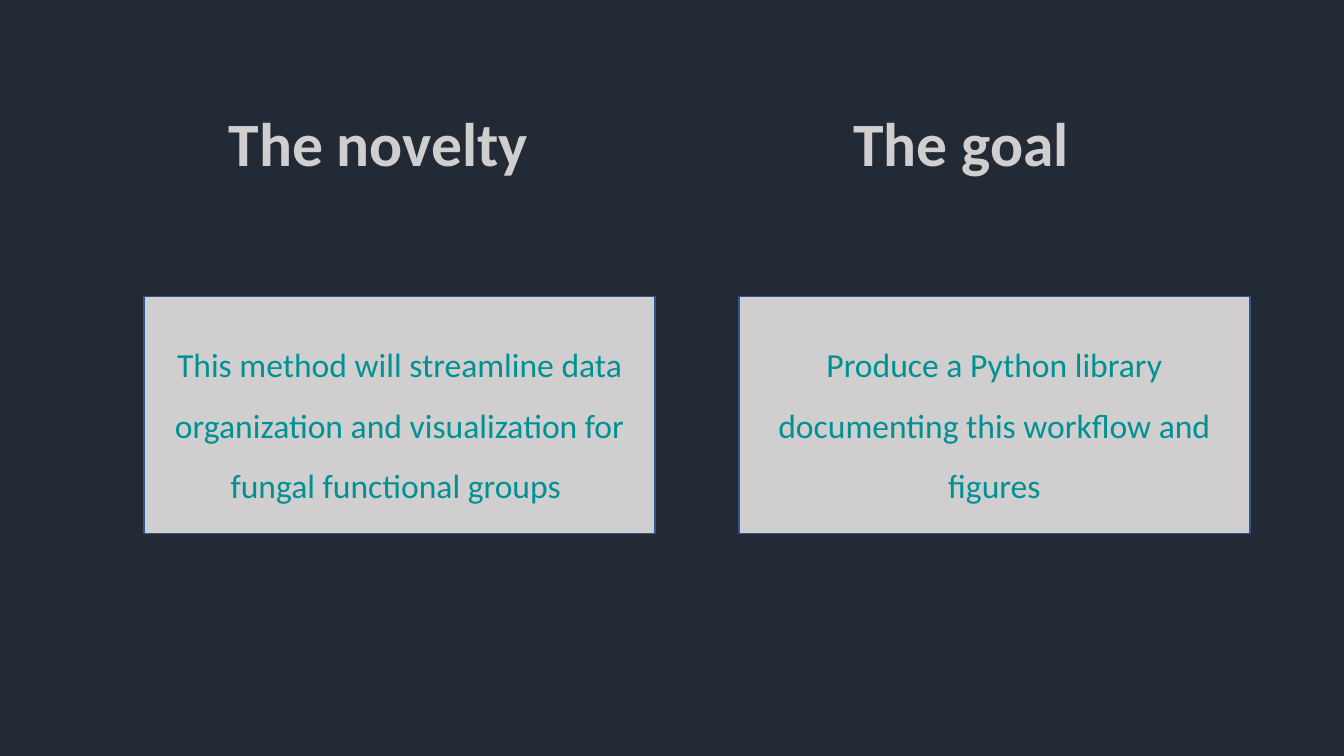
from pptx import Presentation
from pptx import util as u
from pptx.dml.color import RGBColor
from pptx.enum import shapes, text

theme = {
    "font": "Calibri",
    "background": RGBColor.from_string("222A35"),
    "panel": RGBColor.from_string("D0CECE"),
    "outline": RGBColor.from_string("325491"),
    "body": RGBColor.from_string("009193"),
    "heading_size": u.Pt(44),
    "body_size": u.Pt(24),
}


def write(box, wording, paragraph_format, font_format):
    frame = box.text_frame
    frame.word_wrap = True
    frame.vertical_anchor = text.MSO_ANCHOR.MIDDLE
    para = frame.paragraphs[0]
    span = para.add_run()
    span.text = wording
    for name, value in paragraph_format.items():
        setattr(para, name, value)
    for name, value in font_format.items():
        setattr(span.font, name, value)
    span.font.color.rgb = theme["panel"] if span.font.bold else theme["body"]


heading_font = {"name": theme["font"], "size": theme["heading_size"], "bold": True}
body_font = {"name": theme["font"], "size": theme["body_size"], "bold": False}
heading_para = {"alignment": text.PP_ALIGN.LEFT, "line_spacing": 0.9}
body_para = {"alignment": text.PP_ALIGN.CENTER, "line_spacing": 1.5}

deck = Presentation()
deck.slide_width, deck.slide_height = u.Cm(33.87), u.Cm(19.05)
page = deck.slides.add_slide(deck.slide_layouts[6])
page.background.fill.solid()
page.background.fill.fore_color.rgb = theme["background"]

panel_left, panel_step = 3.63, 14.99
columns = [
    ("The novelty", 5.51, 9.09,
     "This method will streamline data organization and visualization for fungal functional groups "),
    ("The goal", 21.26, 6.17,
     "Produce a Python library documenting this workflow and figures"),
]

for index, (heading, heading_left, heading_width, statement) in enumerate(columns):
    heading_box = page.shapes.add_textbox(
        u.Cm(heading_left), u.Cm(2.54), u.Cm(heading_width), u.Cm(2.31))
    write(heading_box, heading, heading_para, heading_font)

    panel = page.shapes.add_shape(
        shapes.MSO_SHAPE.RECTANGLE,
        u.Cm(panel_left + index * panel_step), u.Cm(7.47), u.Cm(12.88), u.Cm(5.97))
    panel.shadow.inherit = False
    panel.fill.solid()
    panel.fill.fore_color.rgb = theme["panel"]
    panel.line.color.rgb = theme["outline"]
    panel.line.width = u.Pt(1)
    write(panel, statement, body_para, body_font)

deck.save("out.pptx")
